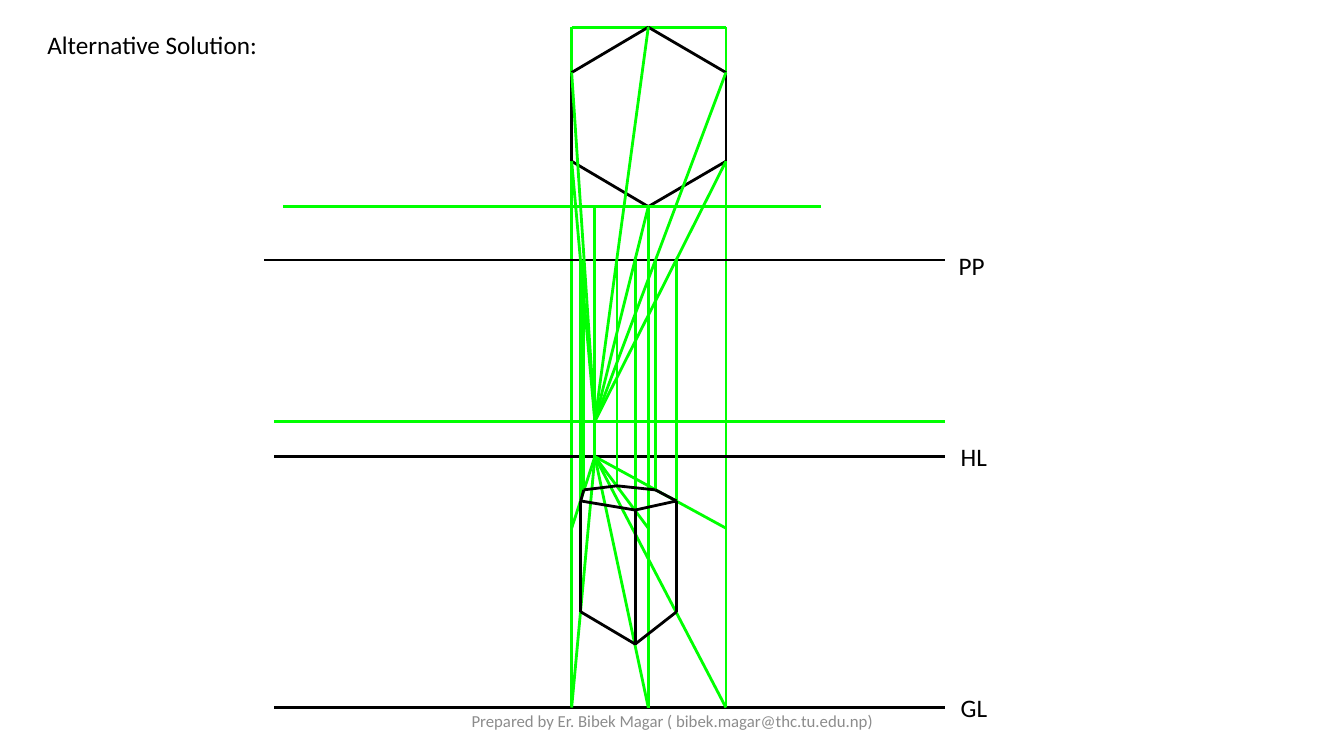
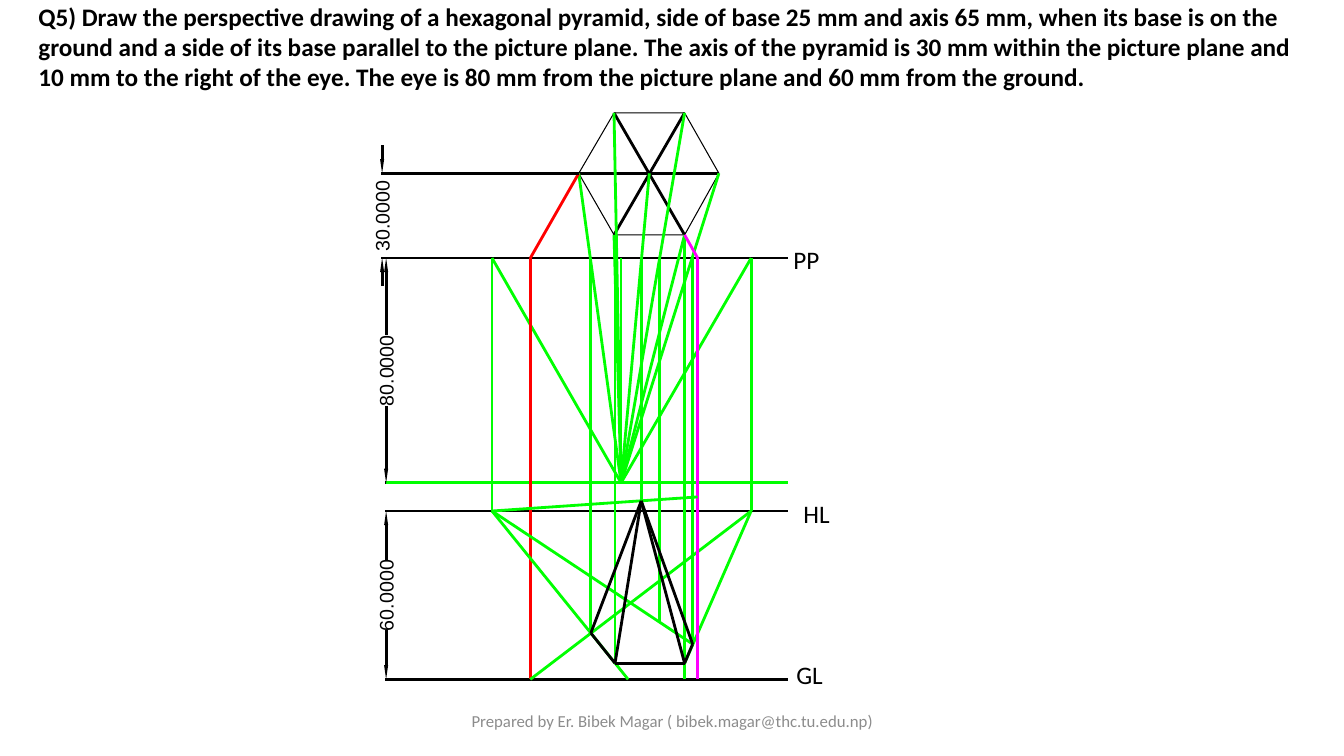
from itertools import pairwise

from lxml.etree import SubElement
from pptx import Presentation
from pptx.dml.color import RGBColor
from pptx.enum.shapes import MSO_CONNECTOR
from pptx.enum.text import MSO_ANCHOR, MSO_AUTO_SIZE, PP_ALIGN
from pptx.oxml.ns import qn
from pptx.util import Inches, Pt

INK = {
    "black": "000000",
    "green": "00FF00",
    "red": "FF0000",
    "pink": "FF00FF",
    "gray": "8C8C8C",
}
TITLE = {"name": "Calibri", "size": Pt(18), "bold": False}
HEAVY = {**TITLE, "bold": True}
FOOT = {"name": "Calibri", "size": Pt(12)}
LABEL = {"name": "Calibri", "size": Pt(18)}
SIZE = {"name": "Arial", "size": Pt(14)}
FRAME = {
    "word_wrap": True,
    "auto_size": MSO_AUTO_SIZE.NONE,
    "vertical_anchor": MSO_ANCHOR.TOP,
}
MARGINS = ("margin_left", "margin_top", "margin_right", "margin_bottom")
TIGHT = {
    "word_wrap": False,
    "auto_size": MSO_AUTO_SIZE.SHAPE_TO_FIT_TEXT,
    **dict.fromkeys(MARGINS, 0),
}


def assign(target, values):
    for name, value in values.items():
        setattr(target, name, value)


def tint(name):
    return RGBColor.from_string(INK[name])


def write(shape, box, text, font, ink="black", align=PP_ALIGN.LEFT, **frame):
    places = map(Inches, box)
    assign(shape, dict(zip(("left", "top", "width", "height"), places)))
    assign(shape.text_frame, {**FRAME, **frame})
    para = shape.text_frame.paragraphs[0]
    para.text = text
    para.alignment = align
    assign(para.font, font)
    para.font.color.rgb = tint(ink)


def add_text(slide, box, *args, **kwargs):
    shape = slide.shapes.add_textbox(*map(Inches, box))
    write(shape, box, *args, **kwargs)
    return shape


def trace(slide, ink, *points):
    """Join the points in turn with hairlines."""
    for start, end in pairwise(points):
        line = slide.shapes.add_connector(
            MSO_CONNECTOR.STRAIGHT, *map(Inches, (*start, *end)))
        line.line.color.rgb = tint(ink)
        line.line.width = 0
        SubElement(line._element.spPr, qn("a:effectLst"))


def fan(slide, hub, ends):
    for end in ends:
        trace(slide, "green", hub, end)


def drop(slide, top, feet):
    """Draw plumb lines from one height down to each foot."""
    for x, y in feet:
        trace(slide, "green", (x, top), (x, y))


def level(slide, left, right, y, ink="black"):
    trace(slide, ink, (left, y), (right, y))


def outline(slide, points, solid=False):
    start, *rest = [tuple(map(Inches, point)) for point in points]
    maker = slide.shapes.build_freeform(*start, scale=1.0)
    maker.add_line_segments(rest, close=True)
    shape = maker.convert_to_shape()
    shape.shadow.inherit = False
    if solid:
        shape.fill.solid()
        shape.fill.fore_color.rgb = tint("black")
        shape.line.fill.background()
    else:
        shape.fill.background()
        shape.line.color.rgb = tint("black")
        shape.line.width = 0


def measure(slide, x, top, low, text, starts, outer=False):
    """Draw an upright dimension; outer puts its arrows outside the span."""
    head, gap = 0.14, 0.35
    mid = (top + low) / 2
    for tip, start, way in zip((top, low), starts, (1, -1)):
        level(slide, start, x - 0.01, tip)
        base = tip + head * (-way if outer else way)
        tail = base - way * head if outer else mid - way * gap
        trace(slide, "black", (x, base), (x, tail))
        outline(slide, [(x - 0.02, base), (x + 0.02, base), (x, tip)], True)
    wide, high = 0.79, 0.26
    box = (x + 0.01 - wide / 2, mid - 0.04 - high / 2, wide, high)
    add_text(slide, box, text, SIZE, **TIGHT).rotation = 270


def add_page(deck, title, box, font):
    slide = deck.slides.add_slide(deck.slide_layouts[5])
    write(slide.shapes.title, box, title, font)
    add_text(slide, (4.42, 6.95, 4.5, 0.4),
             "Prepared by Er. Bibek Magar ( bibek.magar@thc.tu.edu.np)",
             FOOT, "gray", PP_ALIGN.CENTER, vertical_anchor=MSO_ANCHOR.MIDDLE)
    return slide


def add_labels(slide, places):
    for text, (x, y) in zip(("PP", "HL", "GL"), places):
        add_text(slide, (x, y, 0.76, 0.4), text, LABEL)


def draw_prism(deck):
    slide = add_page(deck, "Alternative Solution:",
                     (0.37, 0.24, 2.41, 0.41), TITLE)
    left, mid, right = 5.67, 6.43, 7.2
    back, front, plane, ground = 0.27, 2.05, 2.58, 7.02
    eye, centre = (5.9, 4.18), (5.9, 4.53)
    base = [(mid, front), (left, 1.6), (left, 0.72),
            (mid, back), (right, 0.72), (right, 1.6)]

    for x in (left, right):
        trace(slide, "green", (x, back), (x, front), (x, ground))
    level(slide, left, right, back, "green")
    trace(slide, "black", *base, base[0])
    level(slide, 2.81, 8.14, front, "green")
    level(slide, 2.62, 9.37, plane)
    level(slide, 2.72, 9.37, eye[1], "green")
    for y in (centre[1], ground):
        level(slide, 2.72, 9.37, y)

    trace(slide, "green", (eye[0], front), eye, centre)
    fan(slide, eye, base)
    for y in (5.24, ground):
        fan(slide, centre, [(x, y) for x in (left, mid, right)])
    drop(slide, front, [(mid, ground)])
    drop(slide, plane, [(5.76, 6.07), (5.79, 4.86), (6.12, 4.82),
                        (6.3, 6.4), (6.5, 4.86), (6.71, 6.07)])

    top = [(6.3, 5.06), (5.76, 4.97), (5.79, 4.86),
           (6.12, 4.82), (6.5, 4.86), (6.71, 4.97)]
    trace(slide, "black", *top, top[0])
    trace(slide, "black", top[1], (5.76, 6.07), (6.3, 6.39),
          (6.71, 6.07), top[-1])
    trace(slide, "black", top[0], (6.3, 6.4))
    add_labels(slide, [(9.41, 2.43), (9.43, 4.33), (9.43, 6.82)])


def draw_cone(deck):
    """Draw the pyramid with its plan, rays and dimensions."""
    slide = add_page(
        deck,
        "Q5) Draw the perspective drawing of a hexagonal pyramid, side of "
        "base 25 mm and axis 65 mm, when its base is on the ground and a "
        "side of its base parallel to the picture plane. The axis of the "
        "pyramid is 30 mm within the picture plane and 10 mm to the right "
        "of the eye. The eye is 80 mm from the picture plane and 60 mm from "
        "the ground.", (0.28, -0.04, 12.88, 1.01), HEAVY)
    axis, plane, sight, skyline, ground = 1.72, 2.56, 4.79, 5.07, 6.74
    edge, end = 3.83, 7.82
    eye = (6.16, sight)
    west, east = (4.88, skyline), (7.45, skyline)
    base = [(6.09, 1.12), (5.74, axis), (6.09, 2.33),
            (6.79, 2.33), (7.13, axis), (6.79, 1.12)]

    outline(slide, base)
    for corner in range(3):
        trace(slide, "black", base[corner], base[corner + 3])
    for y in (plane, skyline, ground):
        level(slide, edge, end, y)
    level(slide, edge, end, sight, "green")

    fan(slide, eye, [(x, plane) for x in (eye[0], west[0], east[0])])
    fan(slide, eye, [*base, (6.44, axis)])
    drop(slide, plane, [west, east])
    trace(slide, "red", base[1], (5.26, plane), (5.26, ground))

    apex = (6.36, 4.97)
    feet = [(5.86, 6.28), (6.1, 6.58), (6.79, 6.58), (6.87, 6.39)]
    drop(slide, plane, [feet[0], feet[1], feet[3], (6.54, 6.17), apex])
    drop(slide, base[3][1], [(6.79, ground)])
    trace(slide, "green", (5.26, ground), east, feet[2])
    trace(slide, "green", west, feet[0], (6.23, ground))
    trace(slide, "pink", base[3], (6.92, plane), (6.92, ground))
    fan(slide, west, [feet[3], (6.92, 4.93)])

    trace(slide, "black", *feet)
    for foot in feet:
        trace(slide, "black", apex, foot)

    measure(slide, edge, plane, sight, "80.0000", (edge, edge))
    measure(slide, edge, skyline, ground, "60.0000", (edge, edge))
    measure(slide, 3.79, axis, plane, "30.0000", (base[1][0], edge), True)
    add_labels(slide, [(7.77, 2.37), (7.87, 4.89), (7.8, 6.49)])


def main():
    deck = Presentation()
    assign(deck, {"slide_width": Inches(13.33), "slide_height": Inches(7.5)})
    draw_prism(deck)
    draw_cone(deck)
    deck.save("out.pptx")


if __name__ == "__main__":
    main()
